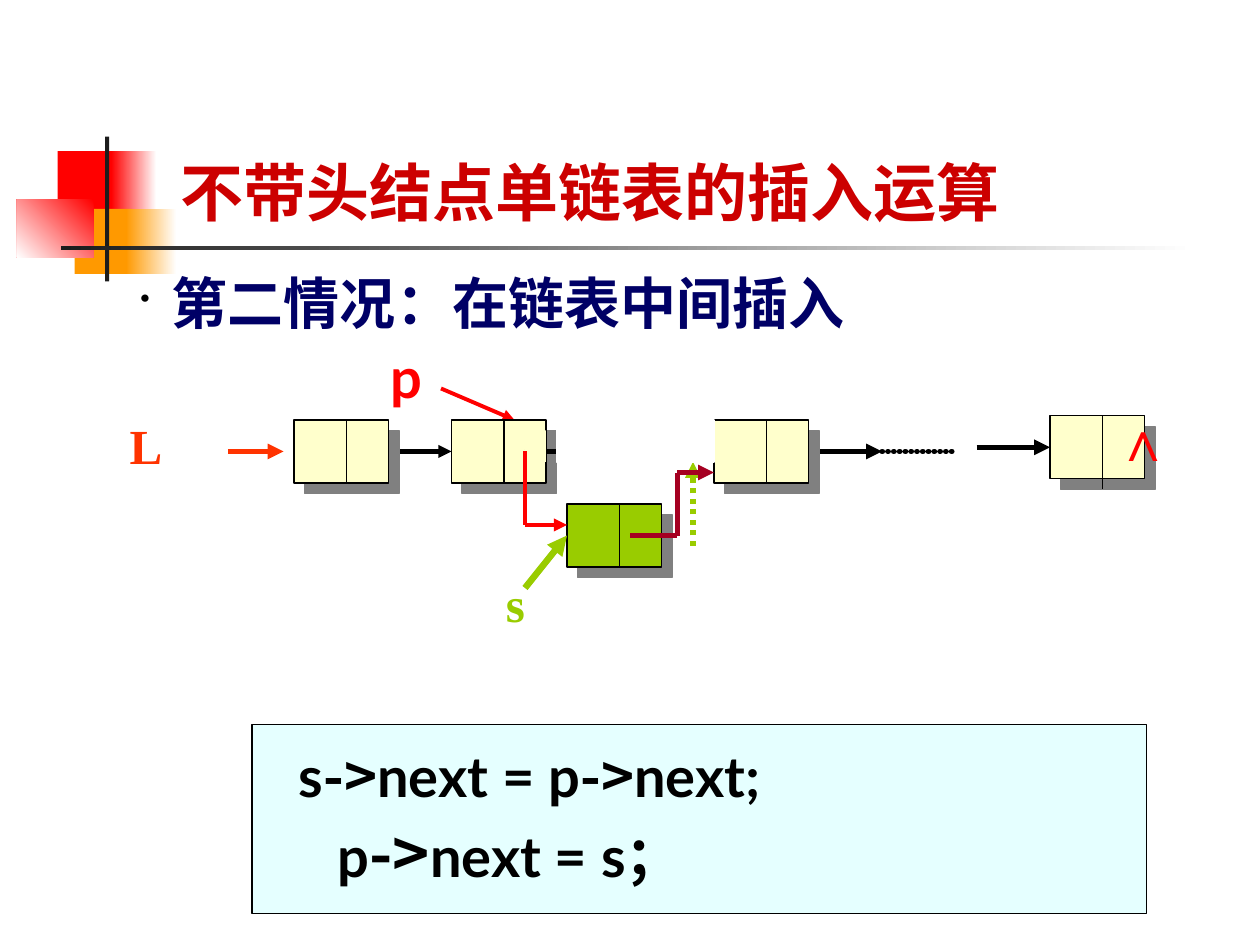
from dataclasses import dataclass
from itertools import pairwise
from typing import NamedTuple, Optional

from lxml import etree
from pptx import Presentation, util as u
from pptx.dml.color import RGBColor
from pptx.enum import dml, shapes
from pptx.oxml import parse_xml
from pptx.oxml.ns import nsdecls, qn

COLORS = {
    "white": "FFFFFF", "black": "000000", "ink": "1C1C1C", "red": "FF0000",
    "orange": "FF9900", "title": "CC0000", "navy": "000066", "cream": "FFFFCC",
    "green": "99CC00", "head": "FF3300", "wine": "A50021", "aqua": "CCFFFF",
    "shade": "808080",
}
COLUMNS, ROWS = 120, 90
NODE_WIDTH, NODE_HEIGHT, DATA_WIDTH = 9, 6, 5
LATIN, CJK, SERIF = "Lato", "Noto Sans CJK SC", "Times New Roman"

deck = Presentation()
deck.slide_width, deck.slide_height = u.Inches(10), u.Inches(7.5)
slide = deck.slides.add_slide(deck.slide_layouts[6])


class Area(NamedTuple):
    column: float
    row: float
    width: float
    height: float


@dataclass
class Node:
    column: float
    row: float = 40
    fill: str = "cream"
    divider: float = NODE_HEIGHT


@dataclass
class Link:
    points: list[tuple[float, float]]
    color: str = "black"
    weight: float = 3
    arrow: bool = True
    dash: Optional[str] = None


@dataclass
class Label:
    area: Area
    runs: list[tuple[str, str, float]]
    color: str
    indent: float = 0
    before: float = 0
    bullet: bool = False


def x(column: float) -> int:
    return round(deck.slide_width * column / COLUMNS)


def y(row: float) -> int:
    return round(deck.slide_height * row / ROWS)


def rgb(name: str) -> RGBColor:
    return RGBColor.from_string(COLORS[name])


def place(area: Area) -> tuple[int, int, int, int]:
    return x(area.column), y(area.row), x(area.width), y(area.height)


def draw_block(area: Area, fill: str, border: Optional[str] = None):
    block = slide.shapes.add_shape(shapes.MSO_SHAPE.RECTANGLE, *place(area))
    block.shadow.inherit = False
    block.fill.solid()
    block.fill.fore_color.rgb = rgb(fill)
    if border:
        block.line.color.rgb = rgb(border)
        block.line.width = u.Pt(0.75)
    else:
        block.line.fill.background()
    return block


def draw_fade(area: Area, start: str, end: str, angle: float) -> None:
    block = draw_block(area, start)
    block.fill.gradient()
    block.fill.gradient_angle = angle
    for stop, color in zip(block.fill.gradient_stops, (start, end)):
        stop.color.rgb = rgb(color)


def draw_link(link: Link) -> None:
    segments = list(pairwise(link.points))
    for number, (start, end) in enumerate(segments, 1):
        line = slide.shapes.add_connector(
            shapes.MSO_CONNECTOR.STRAIGHT, x(start[0]), y(start[1]), x(end[0]), y(end[1]))
        line.line.color.rgb = rgb(link.color)
        line.line.width = u.Pt(link.weight)
        outline = line.line._get_or_add_ln()
        if link.dash == "square":
            line.line.dash_style = dml.MSO_LINE.ROUND_DOT
        elif link.dash == "round":
            outline.set("cap", "rnd")
            dots = etree.SubElement(outline, qn("a:custDash"))
            etree.SubElement(dots, qn("a:ds"), d="10000", sp="100000")
        if link.arrow and number == len(segments):
            etree.SubElement(outline, qn("a:tailEnd"), type="triangle")
        etree.SubElement(line._element.spPr, qn("a:effectLst"))


def draw_node(node: Node) -> None:
    block = draw_block(Area(node.column, node.row, NODE_WIDTH, NODE_HEIGHT), node.fill, "black")
    effects = block._element.spPr.find(qn("a:effectLst"))
    effects.append(parse_xml(
        f'<a:outerShdw {nsdecls("a")} dist="{u.Pt(8.5)}" dir="2700000" algn="ctr" '
        f'rotWithShape="0"><a:srgbClr val="{COLORS["shade"]}"/></a:outerShdw>'))
    column = node.column + DATA_WIDTH
    draw_link(Link([(column, node.row), (column, node.row + node.divider)],
                   weight=0.75, arrow=False))


def draw_label(label: Label) -> None:
    frame = slide.shapes.add_textbox(*place(label.area)).text_frame
    frame.word_wrap = True
    paragraph = frame.paragraphs[0]
    paragraph.space_before = u.Pt(label.before)
    paragraph.font.bold = True
    paragraph.font.color.rgb = rgb(label.color)
    for words, face, size in label.runs:
        run = paragraph.add_run()
        run.text = words
        run.font.bold = True
        run.font.color.rgb = rgb(label.color)
        run.font.size = u.Pt(size)
        run.font.name = face
        etree.SubElement(run.font._element, qn("a:ea"), typeface=CJK)
    properties = paragraph._p.get_or_add_pPr()
    properties.set("marL", str(x(label.indent)))
    if label.bullet:
        properties.set("indent", str(-x(3)))
        bullet_color = etree.Element(qn("a:buClr"))
        etree.SubElement(bullet_color, qn("a:srgbClr"), val=COLORS["black"])
        bullet_size = etree.Element(qn("a:buSzPct"), val="50000")
        bullet = etree.Element(qn("a:buChar"), char="•")
        spacing = properties.find(qn("a:spcBef"))
        for part in (bullet, bullet_size, bullet_color):
            spacing.addnext(part)


def draw_ornament() -> None:
    draw_block(Area(5.5, 14.4, 5.8, 6.2), "red")
    draw_fade(Area(10.6, 14.4, 4.3, 6.2), "white", "red", 180)
    draw_block(Area(7.1, 19.9, 5.5, 6.2), "orange")
    draw_fade(Area(12, 19.9, 4.8, 6.2), "white", "orange", 180)
    draw_fade(Area(1.6, 19, 7.3, 5.5), "red", "white", 225)
    draw_block(Area(10, 13, 0.4, 13.8), "ink")
    draw_fade(Area(5.8, 23.4, 108, 0.4), "white", "ink", 180)


def draw_code_panel() -> None:
    panel = draw_block(Area(24, 69, 85.2, 18), "aqua", "black")
    tint = panel._element.spPr.find(qn("a:solidFill"))[0]
    etree.SubElement(tint, qn("a:alpha"), val="50000")


LABELS = [
    Label(Area(16, 14, 90, 8.4), [("不带头结点单链表的插入运算", LATIN, 36)], "title"),
    Label(Area(9.2, 25, 73.5, 7.7), [("第二情况：在链表中间插入", LATIN, 32)], "navy",
          indent=6, before=8, bullet=True),
    Label(Area(31, 77, 65, 8.4),
          [("p", LATIN, 32), ("->", CJK, 36), ("next = s；", LATIN, 32)], "black"),
    Label(Area(20, 70, 68.4, 7.7),
          [(" s", LATIN, 32), ("->", CJK, 32), ("next = p", LATIN, 32),
           ("->", CJK, 32), ("next;", LATIN, 32)], "black", indent=6, before=8),
    Label(Area(47, 54, 28, 6.8), [("s", SERIF, 28)], "green"),
    Label(Area(36, 32, 6, 7.7), [("p", LATIN, 32)], "red"),
    Label(Area(10, 39, 12.7, 6.8), [(" L", SERIF, 28)], "head"),
]
CHAIN = [
    Link([(66, 52), (66, 44)], "green", dash="square"),
    Node(54, 48, "green"),
    Link([(50, 56), (54, 51)], "green", 3.75),
    Link([(42, 37), (49, 40)], "red", 2.25),
    Link([(35, 43), (43, 43)], weight=2.5),
    Node(28),
    Node(43),
    Link([(50, 43), (68, 43)]),
    Link([(78, 43), (84, 43)]),
    Link([(84, 43), (91, 43)], arrow=False, dash="round"),
    Link([(21.7, 43), (27, 43)], "head"),
    Node(100, 39.6, divider=7),
    Link([(93, 42.6), (100, 42.6)]),
    Node(68),
    Link([(60, 51), (64.5, 51), (64.5, 45), (68, 45)], "wine"),
]


def main() -> None:
    draw_ornament()
    draw_code_panel()
    for label in LABELS:
        draw_label(label)
    for part in CHAIN:
        draw_node(part) if isinstance(part, Node) else draw_link(part)
    draw_label(Label(Area(105.1, 38, 4.2, 7.7), [("∧", "Arial", 32)], "red"))
    draw_block(Area(53, 40, 15, 4), "white", "white")
    draw_block(Area(50, 41, 2, 3), "cream")
    draw_link(Link([(50, 43), (50, 50), (54, 50)], "red", 2.5))
    deck.save("out.pptx")


if __name__ == "__main__":
    main()
